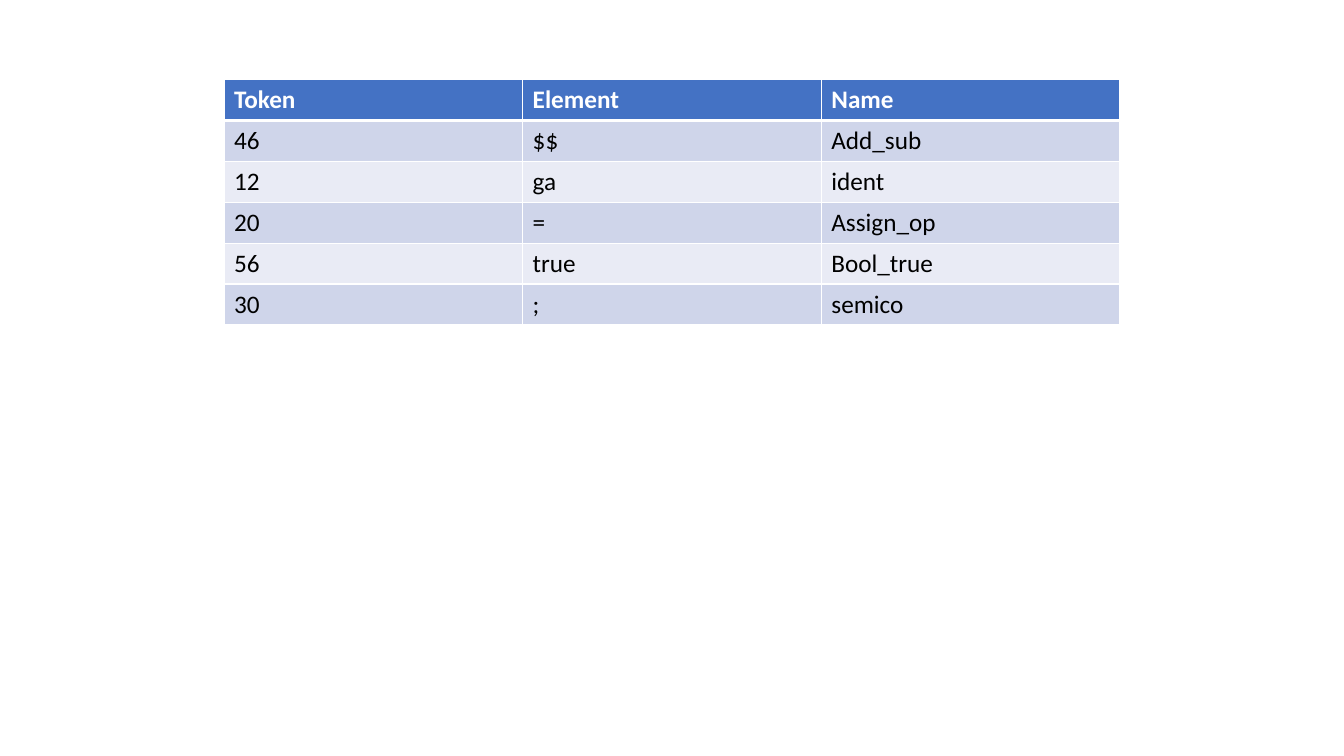
from lxml import etree
from pptx import Presentation
from pptx.dml.color import RGBColor
from pptx.oxml.ns import qn
from pptx.util import Inches, Pt

THEME = {
    "font": "Calibri",
    "size": Pt(18),
    "head": "4472C4",
    "bands": ("CFD5EA", "E9EBF5"),
    "light": "FFFFFF",
    "dark": "000000",
    "thin": Pt(1),
    "thick": Pt(3),
}

TOKENS = [
    ("Token", "Element", "Name"),
    ("46", "$$", "Add_sub"),
    ("12", "ga", "ident"),
    ("20", "=", "Assign_op"),
    ("56", "true", "Bool_true"),
    ("30", ";", "semico"),
]


def set_border(cell, side, width):
    """Draw one side (L, R, T or B) of a cell; call before the cell is filled."""
    props = cell._tc.get_or_add_tcPr()
    line = etree.SubElement(props, qn("a:ln" + side), w=str(width))
    fill = etree.SubElement(line, qn("a:solidFill"))
    etree.SubElement(fill, qn("a:srgbClr"), val=THEME["light"])


deck = Presentation()
deck.slide_width = Inches(13.33)
deck.slide_height = Inches(7.5)
slide = deck.slides.add_slide(deck.slide_layouts[6])

# The table fills the middle two thirds of the slide's width
width = deck.slide_width * 2 // 3
left = (deck.slide_width - width) // 2
row_height = Inches(0.405)
frame = slide.shapes.add_table(
    len(TOKENS), len(TOKENS[0]), left, Inches(0.79), width, row_height * len(TOKENS)
)
table = frame.table

for row, texts in enumerate(TOKENS):
    is_head = row == 0
    shade = THEME["head"] if is_head else THEME["bands"][(row - 1) % 2]
    ink = THEME["light"] if is_head else THEME["dark"]
    top = THEME["thick"] if row == 1 else THEME["thin"]
    bottom = THEME["thick"] if is_head else THEME["thin"]
    sides = {"L": THEME["thin"], "R": THEME["thin"], "T": top, "B": bottom}

    for col, text in enumerate(texts):
        cell = table.cell(row, col)
        for side, weight in sides.items():
            set_border(cell, side, weight)
        cell.fill.solid()
        cell.fill.fore_color.rgb = RGBColor.from_string(shade)
        cell.text_frame.text = text
        font = cell.text_frame.paragraphs[0].runs[0].font
        font.name = THEME["font"]
        font.size = THEME["size"]
        font.bold = is_head
        font.color.rgb = RGBColor.from_string(ink)

deck.save("out.pptx")
